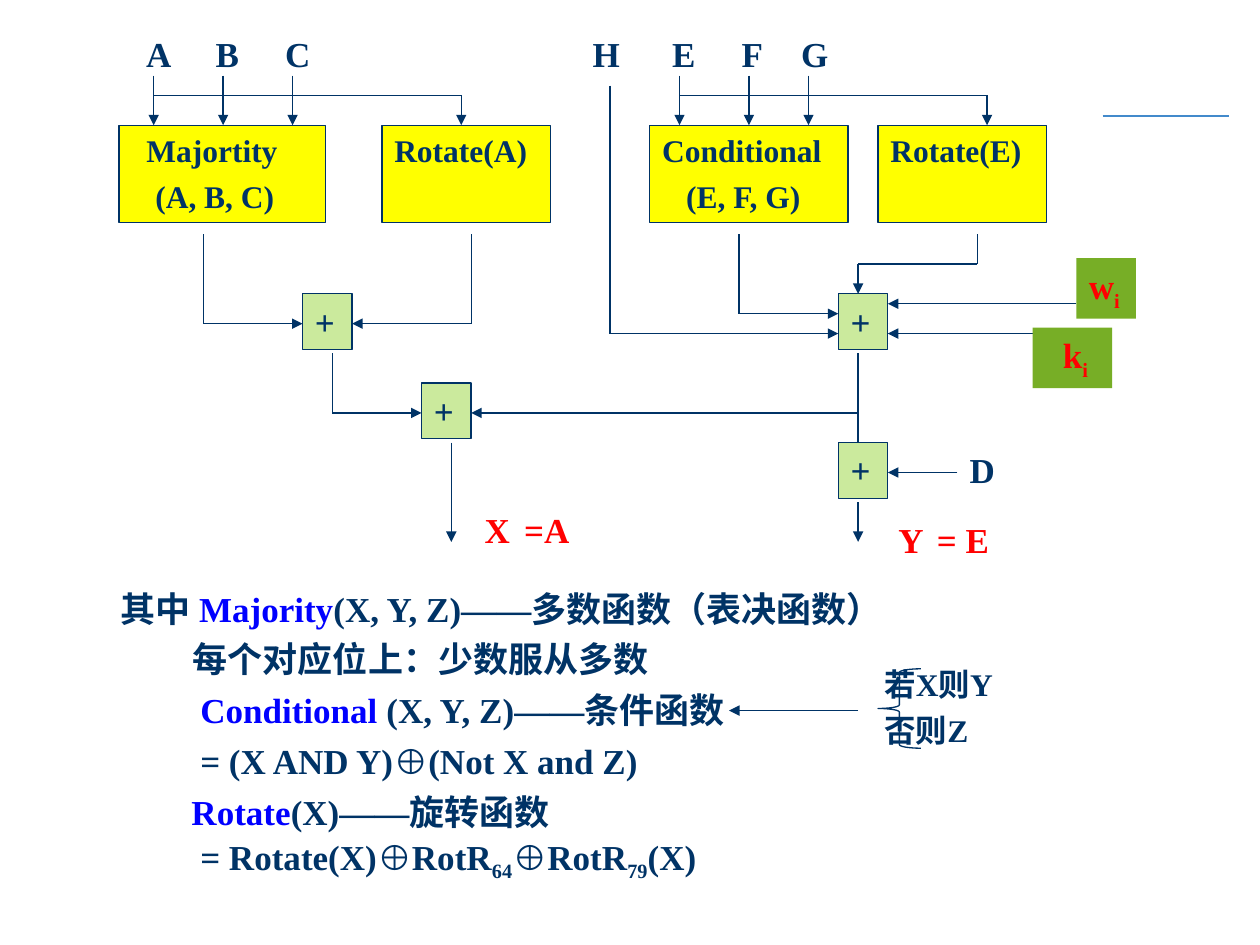
from typing import NamedTuple

from lxml.etree import SubElement
from pptx import Presentation
from pptx.dml.color import RGBColor
from pptx.enum.shapes import MSO_CONNECTOR as Connector, MSO_SHAPE as Preset
from pptx.enum.text import MSO_ANCHOR as Anchor, MSO_AUTO_SIZE as AutoSize
from pptx.oxml.ns import qn
from pptx.util import Inches, Mm, Pt

FONT = "Times New Roman"
NAVY, RED, BLUE = "003366", "FF0000", "0000FF"
YELLOW, LIME, GREEN = "FFFF00", "CBEA9D", "77AE26"
STEP = Mm(2)  # the diagram sits on a 2 mm grid, its origin under input A
LEFT, TOP = Inches(1.22), Inches(0.6)


class Span(NamedTuple):
    text: str
    color: str = NAVY
    lowered: bool = False


class Line(NamedTuple):
    spans: list
    indent: float = 0  # inches


class Block(NamedTuple):
    """A text block; column, row, width and height count grid steps."""
    column: float
    row: float
    width: float
    height: float
    lines: list
    size: int = 20
    fill: str = ""
    border: str = ""
    wrap: bool = True


def hex_color(value: str) -> RGBColor:
    return RGBColor.from_string(value)


def grid_x(column: float) -> int:
    return round(LEFT + column * STEP)


def grid_y(row: float) -> int:
    return round(TOP + row * STEP)


def frame(block) -> tuple:
    return (grid_x(block.column), grid_y(block.row),
            round(block.width * STEP), round(block.height * STEP))


def write(text_frame, lines: list, size: int, leading=None, wrap: bool = True) -> None:
    text_frame.word_wrap = wrap
    text_frame.auto_size = AutoSize.NONE
    text_frame.vertical_anchor = Anchor.TOP
    for index, line in enumerate(lines):
        para = text_frame.add_paragraph() if index else text_frame.paragraphs[0]
        properties = para._p.get_or_add_pPr()
        properties.set("marL", str(Inches(line.indent)))
        properties.set("indent", "0")
        properties.set("algn", "l")
        SubElement(properties, qn("a:buNone"))
        para.space_before = Pt(size / 4 if index else 0)
        if leading:
            para.line_spacing = leading
        for span in line.spans:
            run = para.add_run()
            run.text = span.text
            run.font.name, run.font.size, run.font.bold = FONT, Pt(size), True
            run.font.color.rgb = hex_color(span.color)
            if span.lowered:
                run._r.get_or_add_rPr().set("baseline", "-25000")


def draw_block(page, block: Block) -> None:
    if block.fill:
        box = page.shapes.add_shape(Preset.RECTANGLE, *frame(block))
        box.shadow.inherit = False
        box.fill.solid()
        box.fill.fore_color.rgb = hex_color(block.fill)
        if block.border:
            box.line.color.rgb = hex_color(block.border)
            box.line.width = Pt(0.75)
        else:
            box.line.fill.background()
    else:
        box = page.shapes.add_textbox(*frame(block))
    write(box.text_frame, block.lines, block.size, wrap=block.wrap)


def draw_line(page, start: tuple, end: tuple, color: str = NAVY, arrow: bool = False) -> None:
    line = page.shapes.add_connector(Connector.STRAIGHT, *start, *end)
    line.line.color.rgb = hex_color(color)
    line.line.width = Pt(0.75)
    if arrow:
        SubElement(line.line._get_or_add_ln(), qn("a:tailEnd"), type="triangle")
    SubElement(line._element.spPr, qn("a:effectLst"))


def draw_route(page, points: list, arrow: bool = True) -> None:
    """Joins grid points with straight lines; the last one carries the arrowhead."""
    places = [(grid_x(column), grid_y(row)) for column, row in points]
    last = len(places) - 2
    for index, (start, end) in enumerate(zip(places, places[1:])):
        draw_line(page, start, end, arrow=arrow and index == last)


def plain(text: str, color: str = NAVY, indent: float = 0) -> Line:
    return Line([Span(text, color)], indent)


def function_box(column: float, width: float, *lines: Line) -> Block:
    return Block(column, 5, width, 9.8, list(lines), 18, YELLOW, NAVY)


def label(text: str, column: float, row: float, color: str = NAVY, width: float = 5) -> Block:
    return Block(column, row, width, 5.6, [plain(text, color)])


def adder(column: float, row: float) -> Block:
    return label("+", column, row)._replace(fill=LIME, border=NAVY)


def tag(letter: str, column: float, row: float, width: float, indent: float = 0) -> Block:
    spans = [Span(letter, RED), Span("i", RED, True)]
    return Block(column, row, width, 6.1, [Line(spans, indent)], fill=GREEN)


INPUTS = {"A": -2, "B": 5, "C": 12, "H": 43, "E": 51, "F": 58, "G": 64}
BLOCKS = [
    function_box(-3.5, 20.8, plain("Majortity", indent=0.12),
                 plain("(A, B, C)", indent=0.19)),
    function_box(23, 17, plain("Rotate(A)")),
    function_box(50, 20, plain("Conditional"), plain("(E, F, G)", indent=0.19)),
    function_box(73, 17, plain("Rotate(E)")),
    *[adder(*place) for place in [(15, 22), (69, 22), (27, 31), (69, 37)]],
    *[label(letter, column, -5) for letter, column in INPUTS.items()],
    label("D", 81, 37),
    label("X", 32.1, 43, RED),
    label("Y", 73.8, 44, RED),
    label("=A", 36.1, 43, RED, 13.8),
    label("= E", 77.7, 44, RED, 17.9),
]
ARROWS = [
    *[[(column, 0), (column, 5)] for column in (0, 7, 14, 53, 60, 66)],
    [(0, 2), (31, 2), (31, 5)],
    [(53, 2), (84, 2), (84, 5)],
    [(5, 16), (5, 25), (15, 25)],
    [(32, 16), (32, 25), (20, 25)],
    [(59, 16), (59, 24), (69, 24)],
    [(46, 1), (46, 26), (69, 26)],
    [(83, 16), (83, 19), (71, 19), (71, 22)],
    [(93, 23), (74, 23)],
    [(90, 26), (74, 26)],
    [(18, 28), (18, 34), (27, 34)],
    [(71, 34), (32, 34)],
    [(81, 40), (74, 40)],
    [(71, 43), (71, 47)],
    [(30, 37), (30, 47)],
    [(71, 64), (58, 64)],
]
TAGS = [tag("w", 93, 18.4, 6), tag("k", 88.6, 25.4, 8, 0.14)]
CASES = Block(72.4, 58.8, 25.3, 9.8, [plain("若X则Y"), plain("否则Z")], 18, wrap=False)
NOTES = [
    Line([Span("其中 "), Span("Majority", BLUE), Span("(X, Y, Z)——多数函数（表决函数）")]),
    plain("每个对应位上：少数服从多数", indent=0.57),
    Line([Span("Conditional ", BLUE), Span("(X, Y, Z)——条件函数")], 0.63),
    plain("= (X AND Y)⊕(Not X and Z)", indent=0.63),
    Line([Span("Rotate", BLUE), Span("(X)——旋转函数")], 0.56),
    Line([Span("= Rotate(X)⊕RotR"), Span("64", lowered=True), Span("⊕RotR"),
          Span("79", lowered=True), Span("(X)")], 0.63),
]


def main() -> None:
    deck = Presentation()
    deck.slide_width, deck.slide_height = Inches(10), Inches(7.5)
    page = deck.slides.add_slide(deck.slide_layouts[1])
    title, body = page.placeholders
    title._element.getparent().remove(title._element)

    rule_y = Inches(0.92)
    draw_line(page, (Inches(8.75), rule_y), (Inches(9.75), rule_y), "438ACB")
    for block in BLOCKS:
        draw_block(page, block)
    for points in ARROWS:
        draw_route(page, points)
    draw_route(page, [(71, 28), (71, 37)], arrow=False)
    for block in TAGS:
        draw_block(page, block)

    body.left, body.top = Inches(0.86), Inches(4.61)
    body.width, body.height = Inches(8.5), Inches(2.58)
    write(body.text_frame, NOTES, 20, leading=Pt(24))

    brace = page.shapes.add_shape(Preset.LEFT_BRACE, grid_x(73), grid_y(59.8),
                                  Inches(0.34), Inches(0.63))
    brace.shadow.inherit = False
    brace.fill.background()
    brace.line.color.rgb = hex_color(NAVY)
    brace.line.width = Pt(0.75)
    draw_block(page, CASES)
    deck.save("out.pptx")


if __name__ == "__main__":
    main()
